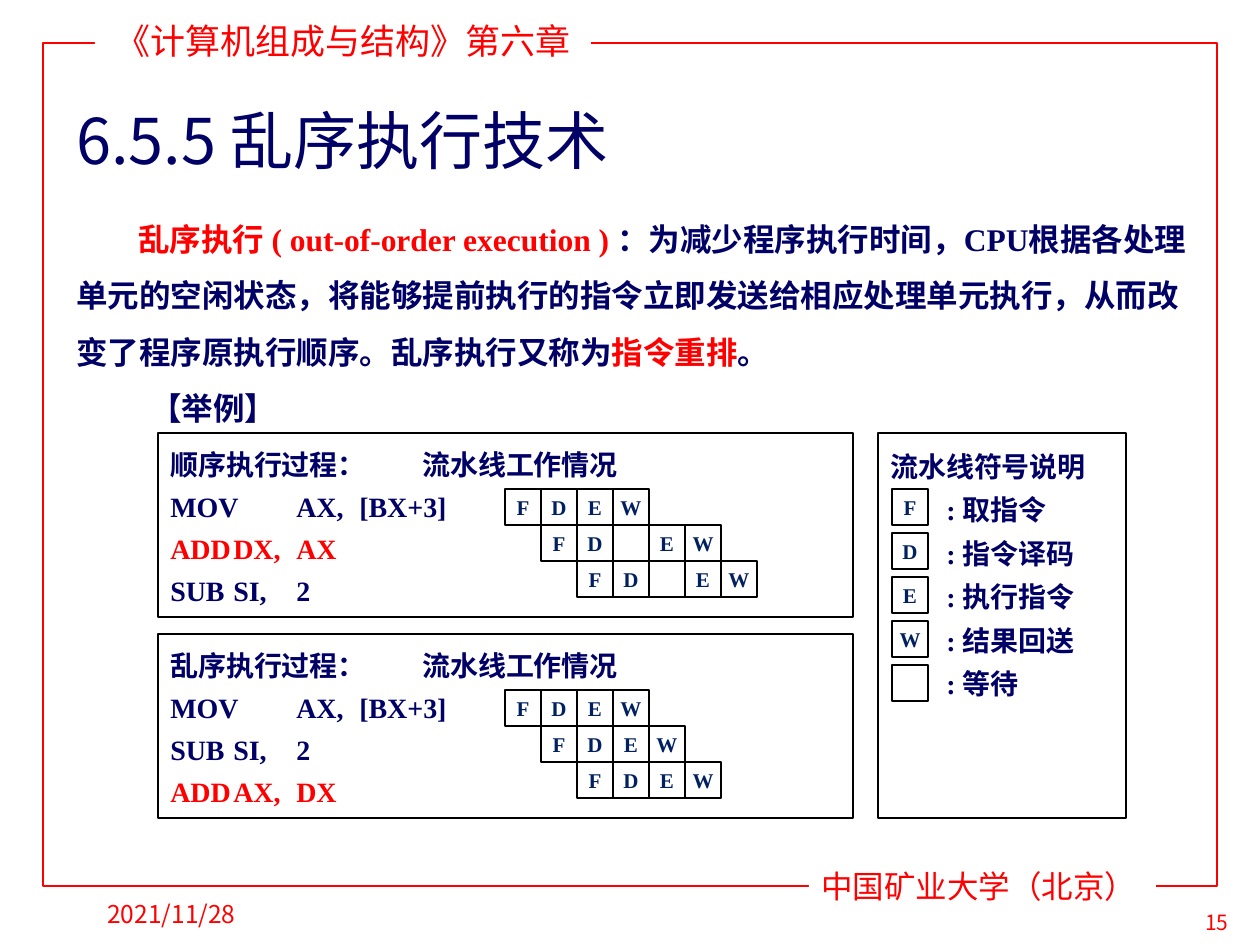
from lxml import etree
from pptx import Presentation
from pptx.dml.color import RGBColor
from pptx.enum.shapes import MSO_SHAPE
from pptx.enum.text import MSO_ANCHOR, PP_ALIGN
from pptx.oxml.ns import qn
from pptx.util import Emu, Pt

RECT = MSO_SHAPE.RECTANGLE
LEFT, CENTER = PP_ALIGN.LEFT, PP_ALIGN.CENTER
TOP, MIDDLE = MSO_ANCHOR.TOP, MSO_ANCHOR.MIDDLE

RED = RGBColor(0xFF, 0x00, 0x00)
NAVY = RGBColor(0x00, 0x00, 0x66)
STAGE_BLUE = RGBColor(0x00, 0x20, 0x60)
BLACK = RGBColor(0x00, 0x00, 0x00)
WHITE = RGBColor(0xFF, 0xFF, 0xFF)

SANS = "Noto Sans CJK SC"
SERIF = "Times New Roman"

STAGE = 36  # side of one pipeline stage cell
CODE_TABS = (87, 148, 335)


def px(length):
    return Emu(round(length * 914400 / 126))


def add_box(slide, box, line=None, fill=None):
    shape = slide.shapes.add_shape(RECT, *map(px, box))
    shape.shadow.inherit = False
    if fill is None:
        shape.fill.background()
    else:
        shape.fill.solid()
        shape.fill.fore_color.rgb = fill
    if line is None:
        shape.line.fill.background()
    else:
        shape.line.color.rgb = line
        shape.line.width = Pt(1)
    return shape


def set_frame(shape, anchor, wrap=True):
    frame = shape.text_frame
    frame.word_wrap = wrap
    frame.vertical_anchor = anchor
    return frame


def write(paragraph, runs, size, color, face=SERIF, bold=False, align=LEFT,
          spacing=None, indent=0, margin=0, tabs=()):
    """Fill a paragraph with (text, colour) runs; None keeps the base colour."""
    properties = paragraph._p.get_or_add_pPr()
    properties.set("marL", str(px(margin)))
    properties.set("indent", str(px(indent)))
    if tabs:
        stops = etree.SubElement(properties, qn("a:tabLst"))
        for stop in tabs:
            etree.SubElement(stops, qn("a:tab"), pos=str(px(stop)), algn="l")
    paragraph.alignment = align
    if spacing:
        paragraph.line_spacing = Pt(spacing)
    font = paragraph.font
    font.size, font.bold, font.name = Pt(size), bold, face
    font.color.rgb = color
    etree.SubElement(properties.find(qn("a:defRPr")), qn("a:ea"), typeface=SANS)
    for text, run_color in runs:
        run = paragraph.add_run()
        run.text = text
        if run_color is not None:
            run.font.color.rgb = run_color


def add_label(slide, box, text, size, color, face=SANS, align=LEFT, wrap=True):
    label = slide.shapes.add_textbox(*map(px, box))
    frame = set_frame(label, MIDDLE, wrap)
    write(frame.paragraphs[0], [(text, None)], size, color, face, align=align)


def add_lines(shape, lines, spacing):
    """Write (text, colour, margin) lines in a panel, one paragraph each."""
    frame = set_frame(shape, TOP)
    for i, (text, color, margin) in enumerate(lines):
        paragraph = frame.add_paragraph() if i else frame.paragraphs[0]
        tabs = CODE_TABS if "\t" in text else ()
        write(paragraph, [(text, None)], 16, color, bold=True,
              spacing=spacing, margin=margin, tabs=tabs)


def add_stage(slide, left, top, letter):
    cell = add_box(slide, (left, top, STAGE, STAGE), BLACK)
    if letter == " ":
        return
    frame = set_frame(cell, MIDDLE)
    frame.margin_left = frame.margin_right = 0
    frame.margin_top = frame.margin_bottom = 0
    write(frame.paragraphs[0], [(letter, None)], 12, STAGE_BLUE,
          bold=True, align=CENTER)


def add_page_frame(slide, box):
    left, top, width, height = box
    add_box(slide, box, RED)
    add_label(slide, (left + 1133, top + 860, 82, 38), "15", 12, RED, align=CENTER)
    # Chapter and school captions interrupt the border
    captions = (
        ((left + 52, top - 30, 496, 55), "《计算机组成与结构》第六章", 20, SANS, CENTER),
        ((left + 766, top + height - 25, 347, 50), "中国矿业大学（北京）", 18, SERIF, LEFT),
    )
    for caption_box, text, size, face, align in captions:
        caption = add_box(slide, caption_box, fill=WHITE)
        write(set_frame(caption, MIDDLE).paragraphs[0], [(text, None)],
              size, RED, face, align=align)
    add_label(slide, (left + 52, top + 839, 262, 63), "2021/11/28", 14, RED, wrap=False)


def add_definition(slide, box):
    frame = set_frame(slide.shapes.add_textbox(*map(px, box)), TOP)
    definition = [
        ("乱序执行 ( out-of-order execution ) ", RED),
        ("：为减少程序执行时间，CPU根据各处理单元的空闲状态，将能够提前执行的指令"
         "立即发送给相应处理单元执行，从而改变了程序原执行顺序。乱序执行又称为", None),
        ("指令重排", RED),
        ("。", None),
    ]
    for paragraph, runs, indent in (
        (frame.paragraphs[0], definition, 62),
        (frame.add_paragraph(), [("【举例】", None)], 74),
    ):
        write(paragraph, runs, 18, NAVY, bold=True, spacing=32.3, indent=indent)


def add_execution_panel(slide, box, heading, code, pipeline):
    left, top = box[:2]
    lines = [(f"{heading}\t流水线工作情况", NAVY, 0)]
    lines += [(text, RED if text.startswith("ADD") else NAVY, 0) for text in code]
    add_lines(add_box(slide, box, BLACK), lines, 24)
    # Each instruction starts one stage after the one before it
    for row, stages in enumerate(pipeline):
        for column, letter in enumerate(stages, start=row):
            add_stage(slide, left + 347 + column * STAGE, top + 56 + row * STAGE, letter)


def add_legend(slide, box):
    left, top = box[:2]
    meanings = {"F": "取指令", "D": "指令译码", "E": "执行指令", "W": "结果回送", " ": "等待"}
    lines = [("流水线符号说明", NAVY, 0)]
    lines += [(f": {meaning}", NAVY, 56) for meaning in meanings.values()]
    add_lines(add_box(slide, box, BLACK), lines, 24.9)
    for i, letter in enumerate(meanings):
        add_stage(slide, left + 14, top + 56 + i * 44, letter)


def main():
    deck = Presentation()
    deck.slide_width, deck.slide_height = px(1260), px(945)
    slide = deck.slides.add_slide(deck.slide_layouts[6])

    add_page_frame(slide, (43, 43, 1174, 843))
    add_label(slide, (64, 95, 1142, 89), "6.5.5 乱序执行技术", 36, NAVY)
    add_definition(slide, (64, 195, 1142, 679))
    add_execution_panel(
        slide, (158, 433, 695, 184), "顺序执行过程：",
        ("MOV\tAX,\t[BX+3]", "ADD\tDX,\tAX", "SUB\tSI,\t2"),
        ("FDEW", "FD EW", "FD EW"))
    add_execution_panel(
        slide, (158, 634, 695, 184), "乱序执行过程：",
        ("MOV\tAX,\t[BX+3]", "SUB\tSI,\t2", "ADD\tAX,\tDX"),
        ("FDEW",) * 3)
    add_legend(slide, (878, 433, 248, 385))

    deck.save("out.pptx")


if __name__ == "__main__":
    main()
